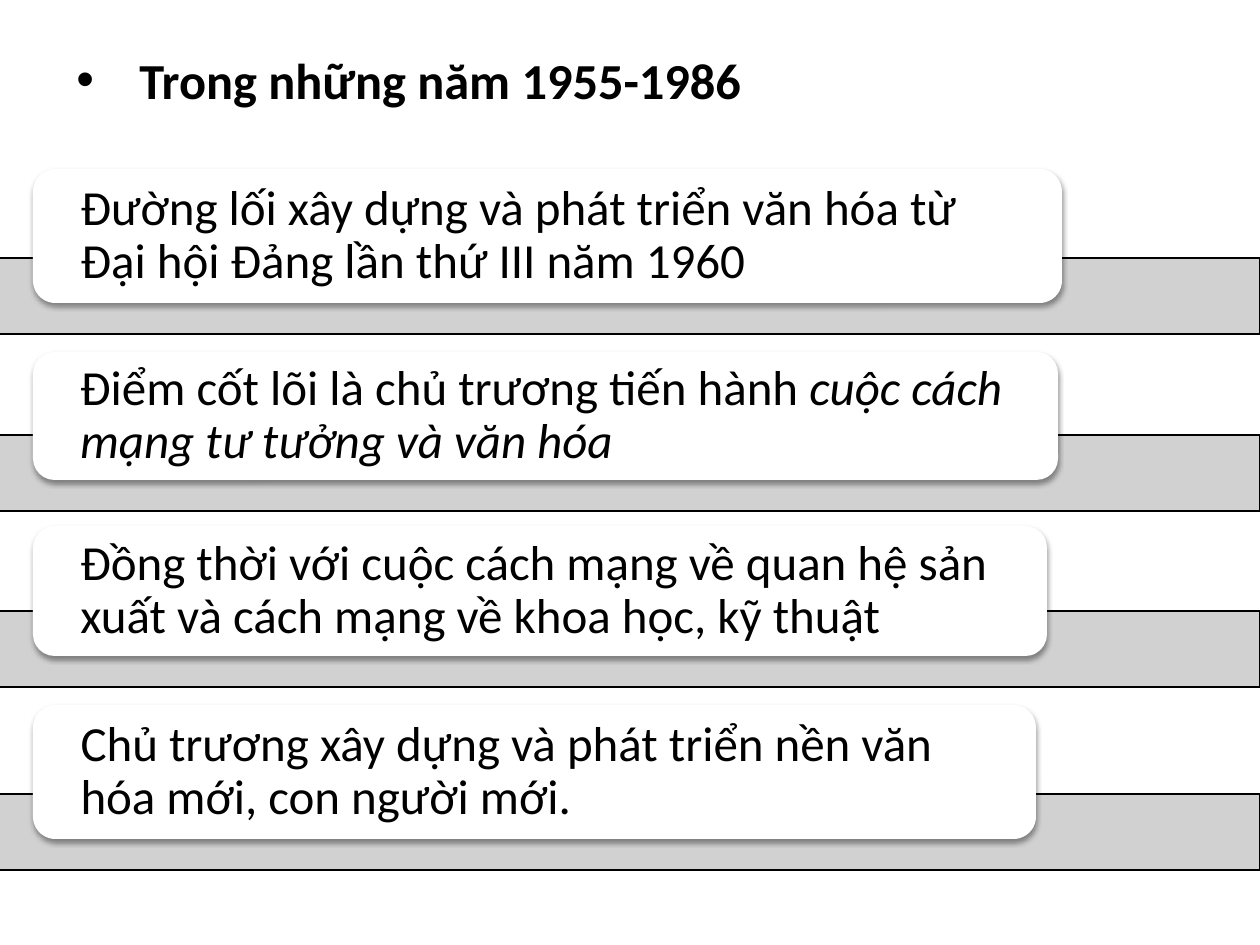
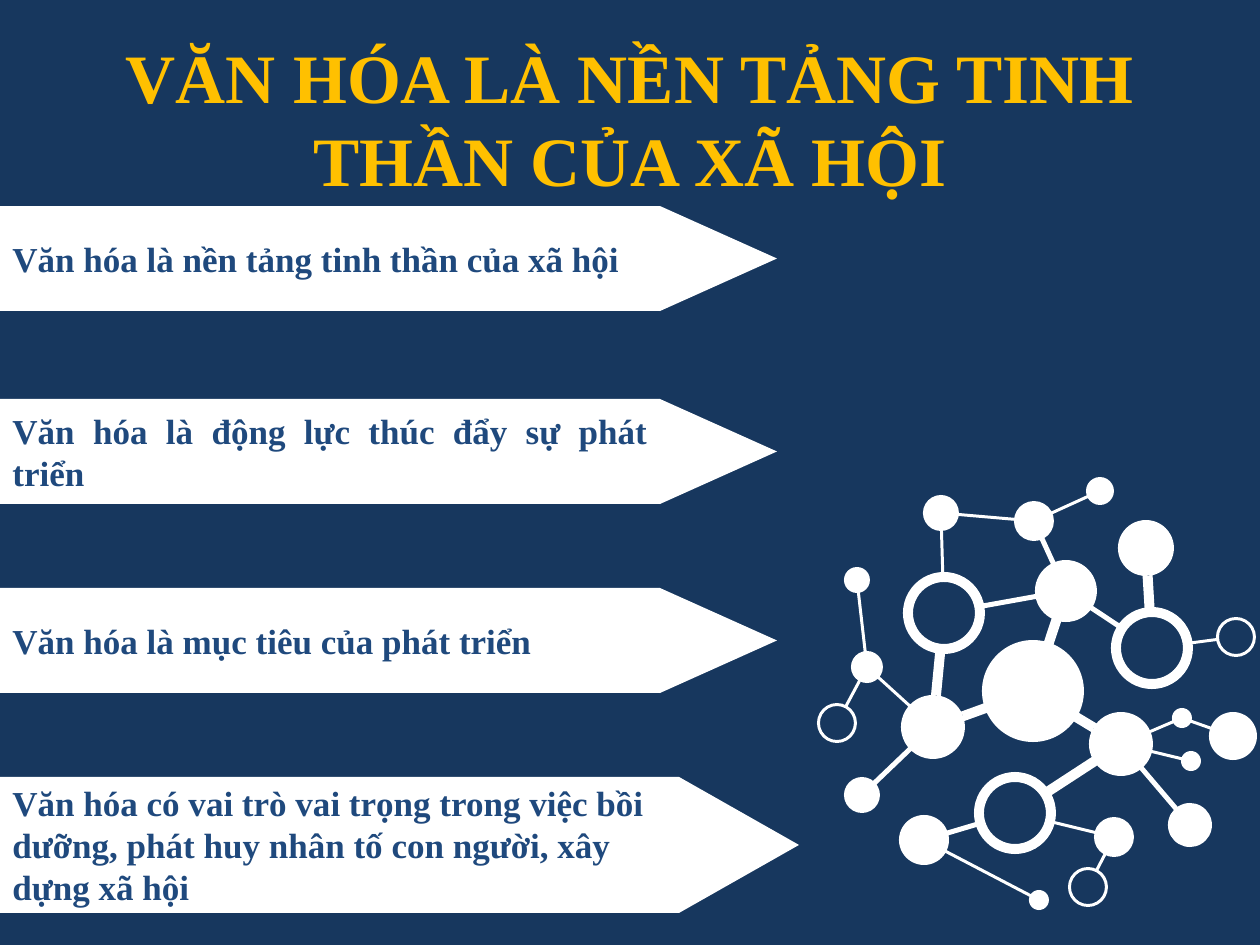
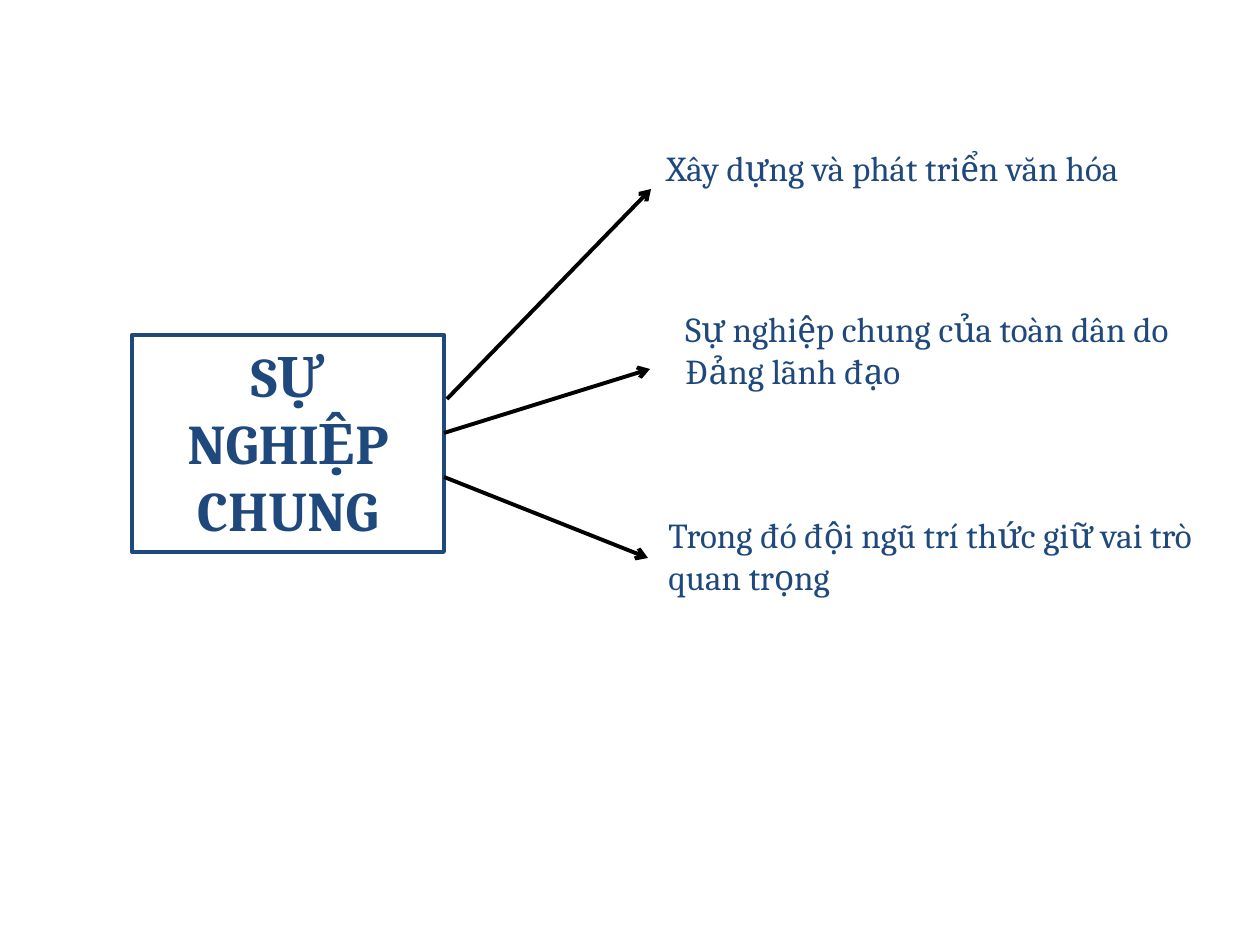
"""Builds three slides on the cultural policy line in Vietnam."""
from dataclasses import dataclass
from math import hypot, sqrt

from lxml import etree
from pptx import Presentation
from pptx import util as u
from pptx.dml.color import RGBColor
from pptx.enum import shapes, text
from pptx.oxml.ns import qn

SCALE = 914400 / 126
SHAPE = shapes.MSO_SHAPE
ALIGN = text.PP_ALIGN
ANCHOR = text.MSO_ANCHOR


@dataclass(frozen=True)
class Theme:
    black: str = "000000"
    white: str = "FFFFFF"
    navy: str = "17375E"
    blue: str = "1F497D"
    gold: str = "FFC000"
    grey: str = "CCCCCC"
    sans: str = "Calibri"
    serif: str = "Cambria"
    roman: str = "Times New Roman"
    heading: float = 28.8
    banner: float = 39.6
    card: float = 28
    label: float = 20
    core: float = 32
    thin: float = 0.75
    thick: float = 2.25


THEME = Theme()

POLICY_ROWS = [
    (258, 1029, 134, [("Đường lối xây dựng và phát triển văn hóa từ Đại hội Đảng lần thứ III năm 1960 ", False)]),
    (435, 1025, 128, [("Điểm cốt lõi là chủ trương tiến hành ", False),
                      ("cuộc cách mạng tư tưởng và văn hóa ", True)]),
    (611, 1014, 130, [("Đồng thời với cuộc cách mạng về quan hệ sản xuất và cách mạng về khoa học, kỹ thuật", False)]),
    (794, 1003, 134, [("Chủ trương xây dựng và phát triển nền văn hóa mới, con người mới.", False)]),
]

ROLES = [
    (206, 660, 105, 117, ALIGN.LEFT, "Văn hóa là nền tảng tinh thần của xã hội"),
    (399, 660, 105, 117, ALIGN.JUSTIFY, "Văn hóa là động lực thúc đẩy sự phát triển"),
    (588, 660, 105, 117, ALIGN.LEFT, "Văn hóa là mục tiêu của phát triển"),
    (777, 679, 136, 120, ALIGN.LEFT,
     "Văn hóa có vai trò vai trọng trong việc bồi dưỡng, phát huy nhân tố con người, xây dựng xã hội"),
]

BRANCHES = [
    ((447, 399), (651, 189), (654, 140, 543, 55), "Xây dựng và phát triển văn hóa"),
    ((444, 433), (650, 369), (673, 301, 585, 97), "Sự nghiệp chung của toàn dân do Đảng lãnh đạo"),
    ((444, 477), (648, 558), (656, 507, 612, 97), "Trong đó đội ngũ trí thức giữ vai trò quan trọng"),
]

DISCS = {
    "hub": (1033, 691, 51), "north": (1066, 591, 31), "west": (933, 727, 32), "east": (1121, 744, 32),
    "top left": (941, 513, 18), "top": (1034, 521, 20), "top right": (1100, 491, 14),
    "upper right": (1146, 548, 28), "far left": (857, 580, 13), "left": (867, 667, 16),
    "lower left": (862, 795, 18), "right bead": (1182, 718, 10), "far right": (1233, 736, 24),
    "small bead": (1191, 761, 10), "lower right": (1190, 825, 22), "bottom left": (924, 840, 25),
    "bottom right": (1114, 837, 20), "bottom bead": (1039, 900, 10),
}

RINGS = {
    "left ring": (944, 613, 41, 31), "right ring": (1152, 648, 41, 31), "low ring": (1015, 813, 41, 31),
    "right loop": (1236, 637, 20, 17), "left loop": (837, 723, 20, 17), "low loop": (1088, 887, 20, 17),
}

LINKS = {
    3: [("top left", "top"), ("top", "top right"), ("top left", "left ring"), ("right ring", "right loop"),
        ("far left", "left"), ("left", "left loop"), ("left", "west"), ("east", "right bead"),
        ("right bead", "far right"), ("east", "small bead"), ("low ring", "bottom right"),
        ("bottom right", "low loop"), ("bottom left", "bottom bead")],
    5: [("top", "north"), ("north", "left ring"), ("north", "right ring"), ("west", "lower left"),
        ("east", "lower right"), ("low ring", "bottom left")],
    10: [("north", "hub"), ("upper right", "right ring"), ("left ring", "west"), ("hub", "west"),
         ("hub", "east"), ("east", "low ring")],
}


def px(length):
    """Turn pixels into EMU."""
    return u.Emu(round(length * SCALE))


def rgb(value):
    """Turn a hex string into a colour."""
    return RGBColor.from_string(value)


def set_all(target, values):
    """Set each named attribute of the target."""
    for name, value in values.items():
        setattr(target, name, value)


def add_slide(deck, colour):
    """Add a blank slide with a plain background."""
    page = deck.slides.add_slide(deck.slide_layouts[6])
    page.background.fill.solid()
    page.background.fill.fore_color.rgb = rgb(colour)
    return page


def paint(shape, fill=None, line=None, width=THEME.thin):
    """Give a shape its fill and line, and take its shadow away."""
    shape.shadow.inherit = False
    if fill:
        shape.fill.solid()
        shape.fill.fore_color.rgb = rgb(fill)
    else:
        shape.fill.background()
    if line:
        shape.line.color.rgb = rgb(line)
        shape.line.width = u.Pt(width)
    else:
        shape.line.fill.background()
    return shape


def add_block(page, kind, place, **look):
    """Add a painted preset shape."""
    return paint(page.shapes.add_shape(kind, *map(px, place)), **look)


def add_textbox(page, place):
    """Add an empty text box."""
    return page.shapes.add_textbox(*map(px, place))


def write(box, spans, font, colour, frame=None, para=None):
    """Write spans of text and italic flags as one paragraph."""
    set_all(box.text_frame, {"word_wrap": True, "vertical_anchor": ANCHOR.MIDDLE, **(frame or {})})
    line = box.text_frame.paragraphs[0]
    set_all(line, {"alignment": ALIGN.LEFT, **(para or {})})
    for words, italic in spans:
        span = line.add_run()
        span.text = words
        set_all(span.font, {**font, "italic": italic})
        span.font.color.rgb = rgb(colour)
    return line


def add_bullet(para, indent):
    """Give a paragraph a hanging round bullet."""
    props = para._p.get_or_add_pPr()
    props.set("marL", str(px(indent)))
    props.set("indent", str(-px(indent)))
    etree.SubElement(props, qn("a:buFont")).set("typeface", "Arial")
    etree.SubElement(props, qn("a:buChar")).set("char", "•")


def add_alpha(holder, percent):
    """Set the opacity of a colour element."""
    etree.SubElement(holder, qn("a:alpha")).set("val", str(percent * 1000))


def add_shadow(shape):
    """Add a soft shadow below a shape."""
    effects = shape._element.spPr.find(qn("a:effectLst"))
    shadow = etree.SubElement(effects, qn("a:outerShdw"))
    for name, value in {"blurRad": u.Pt(3.1), "dist": u.Pt(1.6), "dir": 90 * 60000, "rotWithShape": 0}.items():
        shadow.set(name, str(value))
    colour = etree.SubElement(shadow, qn("a:srgbClr"))
    colour.set("val", THEME.black)
    add_alpha(colour, 38)


def add_arrow(page, start, end):
    """Draw a straight line with an open arrowhead at its end."""
    arrow = page.shapes.add_connector(shapes.MSO_CONNECTOR.STRAIGHT, *map(px, start + end))
    arrow.line.color.rgb = rgb(THEME.black)
    arrow.line.width = u.Pt(THEME.thick)
    etree.SubElement(arrow.line._get_or_add_ln(), qn("a:tailEnd")).set("type", "arrow")
    etree.SubElement(arrow._element.spPr, qn("a:effectLst"))


def add_policy_row(page, bar_top, width, height, spans):
    """Add a grey bar with a card of text that overlaps it."""
    bar = add_block(page, SHAPE.RECTANGLE, (-32, bar_top, 1292, 76), fill=THEME.grey, line=THEME.black)
    add_alpha(bar._element.spPr.find(qn("a:solidFill"))[0], 90)
    card = add_block(page, SHAPE.ROUNDED_RECTANGLE, (33, bar_top + 45 - height, width, height), fill=THEME.white)
    add_shadow(card)
    write(card, spans, {"name": THEME.sans, "size": u.Pt(THEME.card)}, THEME.black,
          frame={"margin_left": px(41), "margin_right": px(41), "margin_top": 0, "margin_bottom": 0},
          para={"line_spacing": 0.9})


def add_role(page, top, width, height, tip, align, words):
    """Add a label that ends in a triangle pointing right."""
    label = add_block(page, SHAPE.RECTANGLE, (0, top, width, height), fill=THEME.white)
    write(label, [(words, False)], {"name": THEME.roman, "size": u.Pt(THEME.label), "bold": True},
          THEME.blue, para={"alignment": align})
    shift = (tip - height) / 2
    point = add_block(page, SHAPE.ISOSCELES_TRIANGLE, (width + shift, top - shift, height, tip), fill=THEME.white)
    point.rotation = 90


def diamond(x, y, radius, turn):
    """Return the four extreme points of a circle, clockwise or against it."""
    return [(x + radius, y), (x, y + turn * radius), (x - radius, y), (x, y - turn * radius)]


def bar_between(first, second, width):
    """Return the corners of a bar that joins the edges of two circles."""
    (x1, y1, r1), (x2, y2, r2) = first[:3], second[:3]
    span, half = hypot(x2 - x1, y2 - y1), width / 2
    dx, dy = (x2 - x1) / span, (y2 - y1) / span
    near, far = sqrt(r1 ** 2 - half ** 2), span - sqrt(r2 ** 2 - half ** 2)
    return [(x1 + dx * along - dy * side, y1 + dy * along + dx * side)
            for along, side in ((near, half), (near, -half), (far, -half), (far, half))]


def quarter_arc(radius, turn, number):
    """Return one quarter of a circle as an arc element."""
    arc = etree.Element(qn("a:arcTo"))
    for name, value in {"wR": px(radius), "hR": px(radius), "stAng": turn * number * 5400000 % 21600000,
                        "swAng": turn * 5400000}.items():
        arc.set(name, str(value))
    return arc


def round_off(shape, circles):
    """Turn the leading diamonds of an outline into circles."""
    outline = next(shape._element.iter(qn("a:path")))
    sides, ends = outline.findall(qn("a:lnTo")), outline.findall(qn("a:close"))
    for index, (_, _, radius, turn) in enumerate(circles):
        for number in range(3):
            outline.replace(sides[3 * index + number], quarter_arc(radius, turn, number))
        ends[index].addprevious(quarter_arc(radius, turn, 3))


def add_network(page):
    """Draw the discs, rings and links as one outline."""
    nodes = {**DISCS, **RINGS}
    circles = [(*node[:3], 1) for node in nodes.values()]
    circles += [(x, y, inner, -1) for x, y, _, inner in RINGS.values()]
    outlines = [diamond(*item) for item in circles]
    outlines += [bar_between(nodes[a], nodes[b], width) for width, pairs in LINKS.items() for a, b in pairs]
    contours = [[(px(x), px(y)) for x, y in outline] for outline in outlines]
    builder = page.shapes.build_freeform(*contours[0][0])
    for number, contour in enumerate(contours):
        if number:
            builder.move_to(*contour[0])
        builder.add_line_segments(contour[1:], close=True)
    network = paint(builder.convert_to_shape(), fill=THEME.white)
    round_off(network, circles)


def build_policy(deck):
    """Build the slide on the years 1955-1986."""
    page = add_slide(deck, THEME.white)
    title = write(add_textbox(page, (-116, 35, 1050, 88)), [("Trong những năm 1955-1986", False)],
                  {"name": THEME.sans, "size": u.Pt(THEME.heading), "bold": True}, THEME.black,
                  para={"alignment": ALIGN.CENTER})
    add_bullet(title, 63)
    for row in POLICY_ROWS:
        add_policy_row(page, *row)


def build_roles(deck):
    """Build the slide on the roles of culture."""
    page = add_slide(deck, THEME.navy)
    write(add_textbox(page, (63, 38, 1134, 158)), [("VĂN HÓA LÀ NỀN TẢNG TINH THẦN CỦA XÃ HỘI", False)],
          {"name": THEME.roman, "size": u.Pt(THEME.banner), "bold": True}, THEME.gold,
          para={"alignment": ALIGN.CENTER})
    for role in ROLES:
        add_role(page, *role)
    add_network(page)


def build_cause(deck):
    """Build the slide on the common cause and its branches."""
    page = add_slide(deck, THEME.white)
    core = add_block(page, SHAPE.RECTANGLE, (132, 335, 312, 217), line=THEME.blue, width=THEME.thick)
    write(core, [("SỰ NGHIỆP CHUNG", False)], {"name": THEME.serif, "size": u.Pt(THEME.core), "bold": True},
          THEME.blue, frame={"vertical_anchor": ANCHOR.TOP}, para={"alignment": ALIGN.CENTER})
    for start, end, place, words in BRANCHES:
        add_arrow(page, start, end)
        write(add_textbox(page, place), [(words, False)], {"name": THEME.serif, "size": u.Pt(THEME.label)},
              THEME.blue, frame={"vertical_anchor": ANCHOR.TOP})


def main():
    """Build the deck and save it."""
    deck = Presentation()
    set_all(deck, {"slide_width": px(1260), "slide_height": px(945)})
    build_policy(deck)
    build_roles(deck)
    build_cause(deck)
    deck.save("out.pptx")


main()
